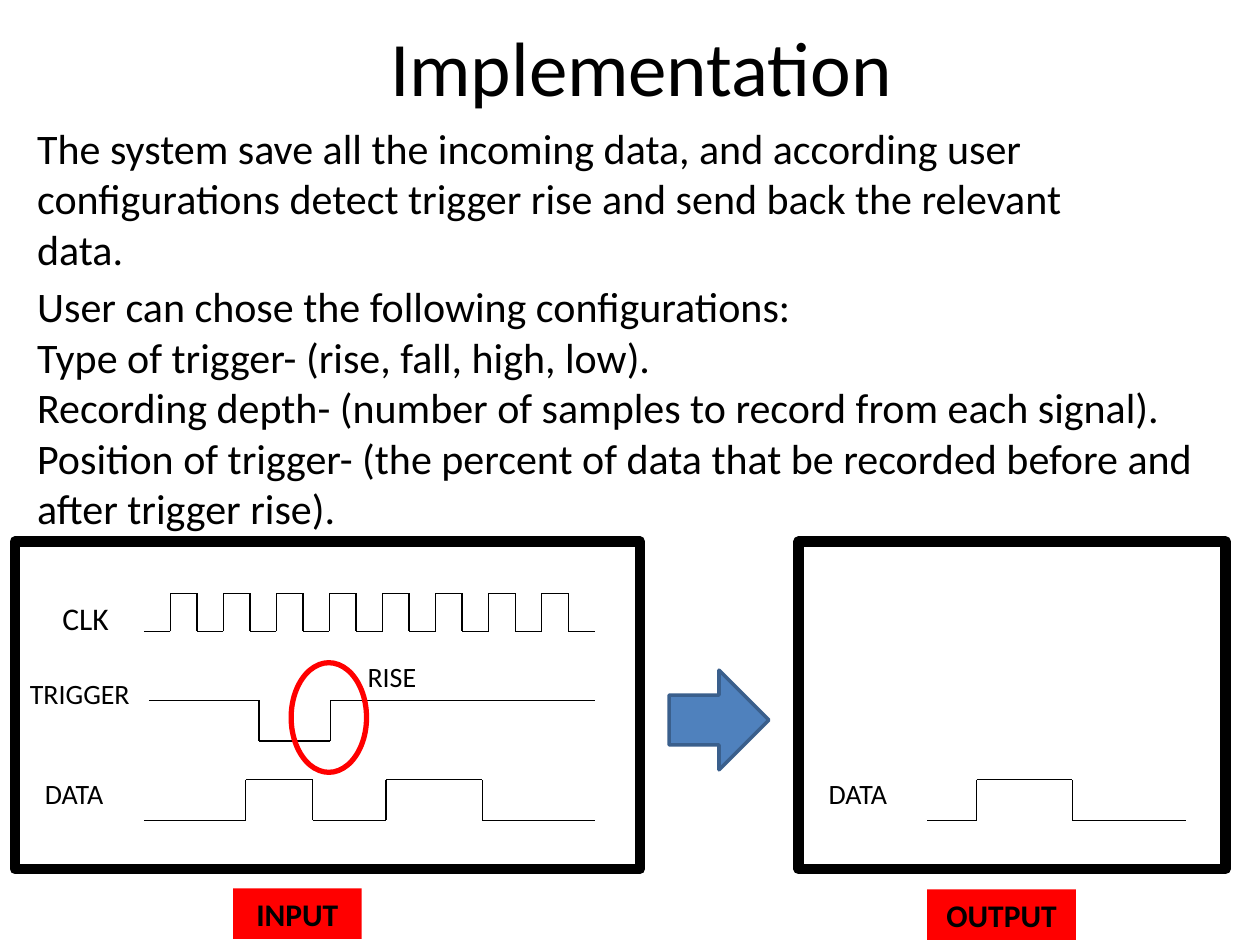
from lxml.etree import SubElement
from pptx import Presentation
from pptx.dml.color import RGBColor
from pptx.enum.shapes import MSO_CONNECTOR as Connector, MSO_SHAPE as Shape
from pptx.enum.text import MSO_ANCHOR as Anchor, MSO_AUTO_SIZE as AutoSize, PP_ALIGN as Align
from pptx.oxml.ns import qn
from pptx.util import Cm, Pt

FONT = "Calibri"
BLACK, RED, BLUE, DARK_BLUE = "000000", "FF0000", "4F81BD", "3A5F8C"


def color(value):
    return RGBColor.from_string(value)


class SlideBuilder:
    """Holds the text style and the current slide."""

    def __init__(self, slide, font=FONT, ink=BLACK):
        self.slide, self.font, self.ink = slide, font, ink

    def fill_text(self, frame, lines, size, align, bold=False, space_before=0):
        frame.word_wrap = True
        for index, line in enumerate(lines):
            paragraph = frame.add_paragraph() if index else frame.paragraphs[0]
            paragraph.alignment = align
            paragraph.space_before = Pt(space_before)
            run = paragraph.add_run()
            run.text = line
            run.font.name, run.font.size, run.font.bold = self.font, Pt(size), bold
            run.font.color.rgb = color(self.ink)

    def title(self, text, left, top, width, height):
        title = self.slide.shapes.title
        title.left, title.top = Cm(left), Cm(top)
        title.width, title.height = Cm(width), Cm(height)
        title.text_frame.vertical_anchor = Anchor.MIDDLE
        self.fill_text(title.text_frame, [text], 44, Align.CENTER)

    def text(self, lines, left, top, width, height, size, align=Align.LEFT, space_before=0):
        box = self.slide.shapes.add_textbox(Cm(left), Cm(top), Cm(width), Cm(height))
        box.text_frame.auto_size = AutoSize.NONE
        self.fill_text(box.text_frame, lines, size, align, space_before=space_before)

    def label(self, text, left, top, width, size=16):
        self.text([text], left, top, width, 0.94, size, Align.CENTER)

    def shape(self, kind, left, top, width, height, fill=None, line=None, weight=0):
        shape = self.slide.shapes.add_shape(kind, Cm(left), Cm(top), Cm(width), Cm(height))
        shape.shadow.inherit = False
        if fill:
            shape.fill.solid()
            shape.fill.fore_color.rgb = color(fill)
        else:
            shape.fill.background()
        if line:
            shape.line.color.rgb = color(line)
            shape.line.width = Pt(weight)
        else:
            shape.line.fill.background()
        return shape

    def tag(self, text, left, top, width):
        shape = self.shape(Shape.RECTANGLE, left, top, width, 1.02, fill=RED)
        shape.text_frame.vertical_anchor = Anchor.MIDDLE
        self.fill_text(shape.text_frame, [text], 18, Align.CENTER, bold=True)

    def line(self, x1, y1, x2, y2):
        line = self.slide.shapes.add_connector(
            Connector.STRAIGHT, Cm(x1), Cm(y1), Cm(x2), Cm(y2))
        line.line.color.rgb = color(self.ink)
        line.line.width = Pt(0.75)
        SubElement(line._element.spPr, qn("a:effectLst"))

    def wave(self, edges, first, second):
        """Square wave that switches between two levels at each inner edge."""
        level, other = first, second
        for index, (start, end) in enumerate(zip(edges, edges[1:])):
            if index:
                self.line(start, other, start, level)
            self.line(start, level, end, level)
            level, other = other, level


def main():
    presentation = Presentation()
    presentation.slide_width, presentation.slide_height = Cm(25.4), Cm(19.05)
    builder = SlideBuilder(presentation.slides.add_slide(presentation.slide_layouts[5]))

    # Title and explanation
    builder.title("Implementation", 1.5, 0.13, 22.86, 2.39)
    builder.text(
        ["The system save all the incoming data, and according user configurations "
         "detect trigger rise and send back the relevant data."],
        0.5, 2.34, 22.86, 4.19, 24, space_before=4.8)
    builder.text(
        ["User can chose the following configurations:",
         "Type of trigger- (rise, fall, high, low).",
         "Recording depth- (number of samples to record from each signal).",
         "Position of trigger- (the percent of data that be recorded before and "
         "after trigger rise)."],
        0.5, 5.54, 24.2, 5.38, 24)

    # Input and output frames
    for left, width in ((0.3, 12.6), (16.1, 8.61)):
        builder.shape(Shape.RECTANGLE, left, 10.92, width, 6.6, line=BLACK, weight=6)

    # Input signals
    wave_left, wave_right, half_periods = 2.9, 11.99, 17
    half_period = (wave_right - wave_left) / half_periods
    clock_edges = [wave_left + half_period * i for i in range(half_periods + 1)]
    data_low, data_high = 16.54, 15.72
    builder.wave(clock_edges, 12.73, 11.96)
    builder.wave([3, 5.22, 6.66, wave_right], 14.12, 14.94)
    builder.wave([wave_left, 4.95, 6.3, 7.78, 9.72, wave_right], data_low, data_high)
    builder.label("CLK", 0.53, 11.96, 2.39, size=18)
    builder.label("TRIGGER", -0.08, 13.51, 3.38)
    builder.label("DATA", 0.3, 15.52, 2.39)

    # Trigger rise marker
    builder.shape(Shape.OVAL, 5.87, 13.36, 1.52, 2.21, line=RED, weight=3)
    builder.label("RISE", 6.91, 13.18, 1.98)

    # Output signal
    builder.wave([18.69, 19.69, 21.62, 23.9], data_low, data_high)
    builder.label("DATA", 16.1, 15.52, 2.39)

    # Flow arrow and captions
    builder.shape(Shape.RIGHT_ARROW, 13.49, 13.51, 2.01, 2.01, BLUE, DARK_BLUE, 2)
    builder.tag("INPUT", 4.7, 17.91, 2.59)
    builder.tag("OUTPUT", 18.69, 17.93, 3)

    presentation.save("out.pptx")


if __name__ == "__main__":
    main()
